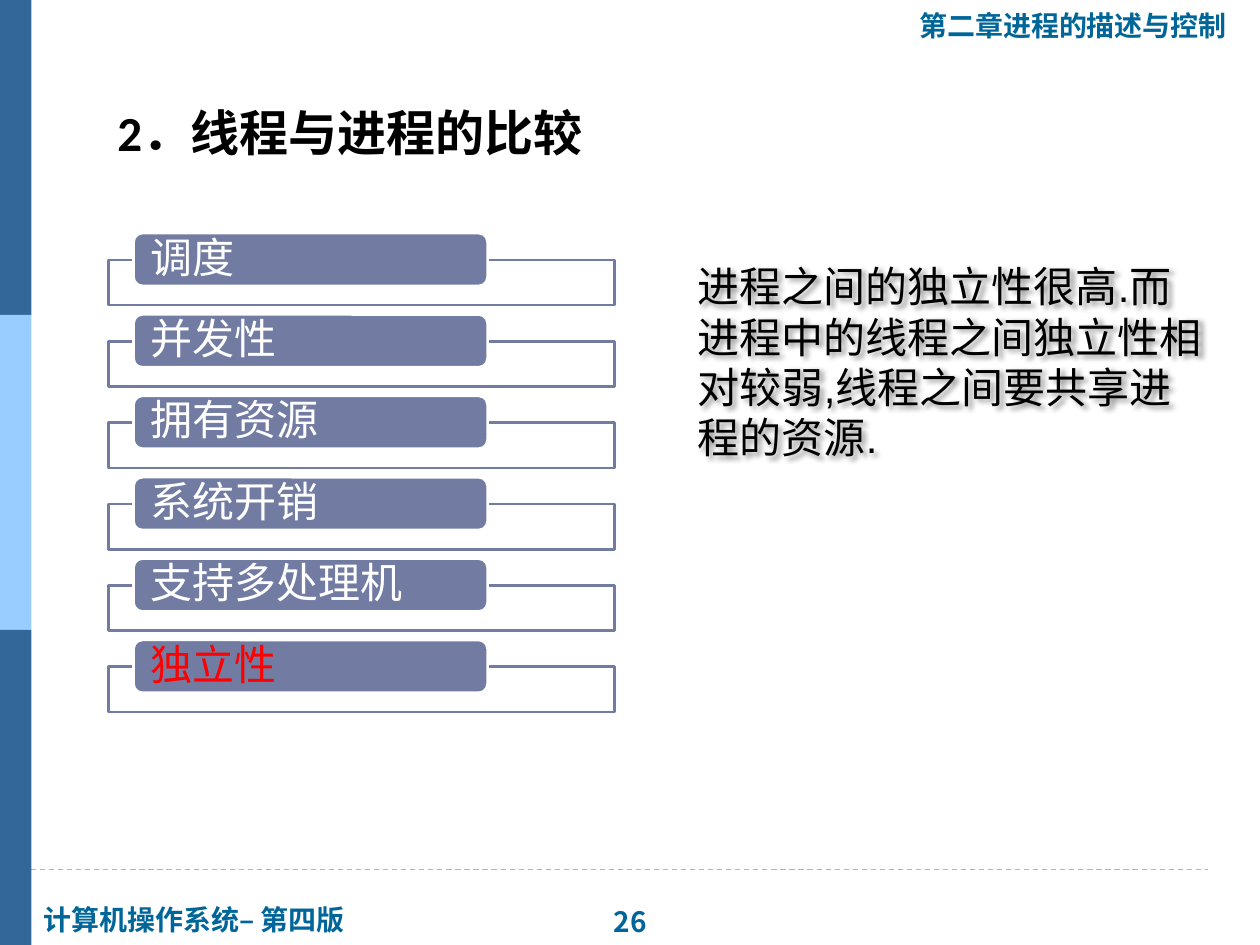
"""Build the slide comparing threads with processes."""
from dataclasses import dataclass

from lxml import etree
from pptx import Presentation
from pptx.dml.color import RGBColor
from pptx.enum.dml import MSO_LINE
from pptx.enum.shapes import MSO_CONNECTOR, MSO_SHAPE
from pptx.enum.text import MSO_ANCHOR, PP_ALIGN
from pptx.oxml import parse_xml
from pptx.oxml.ns import nsdecls, qn
from pptx.util import Pt

TITLE = "2．线程与进程的比较"
TOPICS = ["调度", "并发性", "拥有资源", "系统开销", "支持多处理机", "独立性"]
CURRENT = "独立性"
BODY = "进程之间的独立性很高.而进程中的线程之间独立性相对较弱,线程之间要共享进程的资源."
LABELS = [
    ("计算机操作系统– 第四版", (18, 512, 191, 26.6), "Arial", PP_ALIGN.LEFT),
    ("26", (340.6, 513.4, 38.9, 26.6), "Noto Sans CJK JP", PP_ALIGN.CENTER),
    ("第二章进程的描述与控制", (518.4, 1.4, 192.2, 26.6), "Arial", PP_ALIGN.LEFT),
]


@dataclass(frozen=True)
class Theme:
    rail: tuple = ("336699", "99CCFF", "336699")
    rule: str = "9FB8CD"
    label: str = "006699"
    accent: str = "727CA3"
    white: str = "FFFFFF"
    black: str = "000000"
    current: str = "FF0000"
    title_size: int = 28
    body_size: int = 24
    label_size: int = 16


THEME = Theme()
PITCH = 46.5
FRAME = (61.9, 148.5, 289.4, 25.9)
TAB = (76.3, 133.2, 202.3, 30.2)


def points(*values):
    return [Pt(v) for v in values]


def write(sp, text, size, color, font="Calibri", bold=False,
          align=PP_ALIGN.LEFT, anchor=MSO_ANCHOR.TOP, wrap=True, spacing=None):
    tf = sp.text_frame
    tf.word_wrap = wrap
    tf.vertical_anchor = anchor
    p = tf.paragraphs[0]
    p.alignment = align
    if spacing:
        p.line_spacing = spacing
    r = p.add_run()
    r.text = text
    r.font.name = font
    r.font.size = Pt(size)
    r.font.bold = bold
    r.font.color.rgb = RGBColor.from_string(color)
    return tf


def add_box(slide, kind, box, fill, line=None):
    sp = slide.shapes.add_shape(kind, *points(*box))
    sp.shadow.inherit = False
    sp.fill.solid()
    sp.fill.fore_color.rgb = RGBColor.from_string(fill)
    if line:
        sp.line.color.rgb = RGBColor.from_string(line)
        sp.line.width = Pt(1.5)
    else:
        sp.line.fill.background()
    return sp


def add_background(slide):
    rule = slide.shapes.add_connector(
        MSO_CONNECTOR.STRAIGHT, *points(-2.9, 496.8, 690.5, 496.8))
    rule.line.color.rgb = RGBColor.from_string(THEME.rule)
    rule.line.width = Pt(0.75)
    rule.line.dash_style = MSO_LINE.DASH
    etree.SubElement(rule._element.spPr, qn("a:effectLst"))
    for i, color in enumerate(THEME.rail):
        add_box(slide, MSO_SHAPE.RECTANGLE, (0, i * 180, 18, 180), color)
    for text, box, font, align in LABELS:
        sp = slide.shapes.add_textbox(*points(*box))
        write(sp, text, THEME.label_size, THEME.label, font, True, align, wrap=False)


def add_topic(slide, index, text):
    def shift(box):
        return box[0], box[1] + index * PITCH, box[2], box[3]

    frame = add_box(slide, MSO_SHAPE.RECTANGLE, shift(FRAME), THEME.white, THEME.accent)
    color = frame._element.spPr.find(qn("a:solidFill"))[0]
    etree.SubElement(color, qn("a:alpha"), val="90000")
    tab = add_box(slide, MSO_SHAPE.ROUNDED_RECTANGLE, shift(TAB), THEME.accent, THEME.white)
    ink = THEME.current if text == CURRENT else THEME.white
    tf = write(tab, text, THEME.body_size, ink, anchor=MSO_ANCHOR.MIDDLE, spacing=0.9)
    tf.margin_left = tf.margin_right = Pt(8)
    tf.margin_top = tf.margin_bottom = 0
    tf.paragraphs[0].space_after = Pt(8.4)


def add_body(slide):
    sp = slide.shapes.add_textbox(*points(391.7, 145.4, 302.4, 356.4))
    write(sp, BODY, THEME.body_size, THEME.black, "Arial")
    sp._element.spPr.append(parse_xml(
        f'<a:effectLst {nsdecls("a")}><a:outerShdw blurRad="38100" dist="38100" dir="2700000">'
        '<a:srgbClr val="000000"><a:alpha val="43000"/></a:srgbClr>'
        '</a:outerShdw></a:effectLst>'))


def main():
    prs = Presentation()
    prs.slide_width, prs.slide_height = points(720, 540)
    slide = prs.slides.add_slide(prs.slide_layouts[5])
    add_background(slide)
    for i, topic in enumerate(TOPICS):
        add_topic(slide, i, topic)
    title = slide.shapes.title
    title.left, title.top, title.width, title.height = points(59.8, 54.7, 334.8, 41)
    write(title, TITLE, THEME.title_size, THEME.black, bold=True)
    add_body(slide)
    prs.save("out.pptx")


if __name__ == "__main__":
    main()
